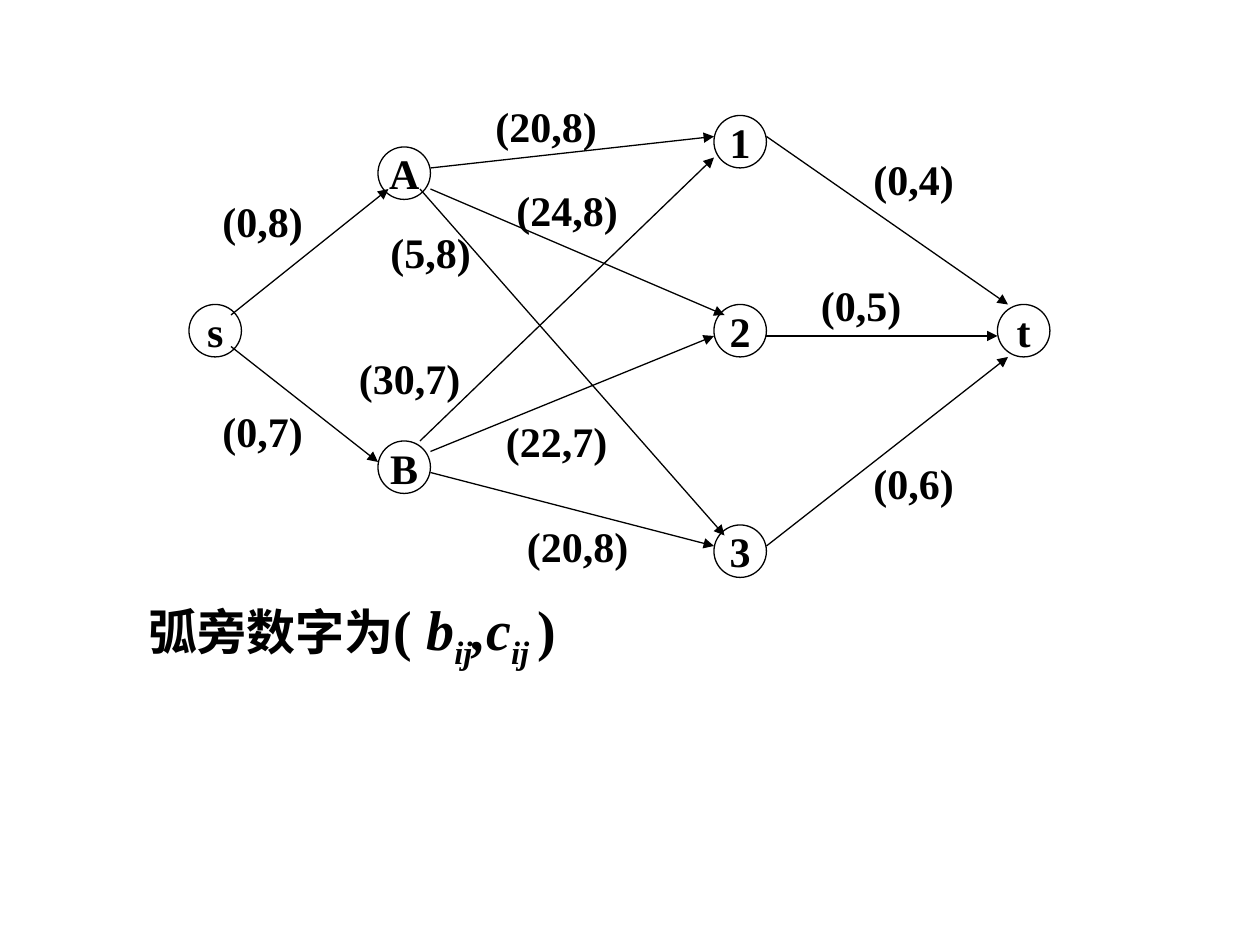
from dataclasses import dataclass

from lxml.etree import SubElement
from pptx import Presentation
from pptx.dml.color import RGBColor
from pptx.enum.shapes import MSO_CONNECTOR, MSO_SHAPE
from pptx.enum.text import MSO_ANCHOR, MSO_AUTO_SIZE, PP_ALIGN
from pptx.oxml.ns import qn
from pptx.slide import Slide
from pptx.util import Emu, Pt

EMU_PER_PX = 9525  # 96 px to the inch


def px(length):
    return Emu(length * EMU_PER_PX)


def color(value):
    return RGBColor.from_string(value)


@dataclass
class Diagram:
    slide: Slide
    font: str = "Times New Roman"
    ink: str = "000000"
    text_size: int = 24
    line_width: float = 0.75
    node_size: int = 40

    def style(self, span, size, italic=False, baseline=0):
        """Format a run; baseline is a percentage, negative for subscript."""
        span.font.name = self.font
        span.font.size = Pt(size)
        span.font.bold = True
        span.font.color.rgb = color(self.ink)
        if italic:
            span.font.italic = True
        if baseline:
            span.font._element.set("baseline", str(baseline * 1000))

    def outline(self, line):
        line.color.rgb = color(self.ink)
        line.width = Pt(self.line_width)

    def node(self, name, left, top):
        size = px(self.node_size)
        shape = self.slide.shapes.add_shape(
            MSO_SHAPE.OVAL, px(left), px(top), size, size)
        shape.shadow.inherit = False
        shape.fill.background()
        self.outline(shape.line)
        frame = shape.text_frame
        frame.word_wrap = False
        frame.vertical_anchor = MSO_ANCHOR.MIDDLE
        frame.text = name
        para = frame.paragraphs[0]
        para.alignment = PP_ALIGN.CENTER
        self.style(para.runs[0], self.text_size)

    def arrow(self, start, end):
        connector = self.slide.shapes.add_connector(
            MSO_CONNECTOR.STRAIGHT, *map(px, start + end))
        self.outline(connector.line)
        SubElement(connector.line._get_or_add_ln(), qn("a:tailEnd"), type="triangle")
        SubElement(connector._element.spPr, qn("a:effectLst"))

    def text_box(self, left, top, width, height):
        """Add an empty wrapping box and return its first paragraph."""
        box = self.slide.shapes.add_textbox(px(left), px(top), px(width), px(height))
        box.text_frame.word_wrap = True
        box.text_frame.auto_size = MSO_AUTO_SIZE.SHAPE_TO_FIT_TEXT
        return box.text_frame.paragraphs[0]

    def label(self, text, left, top):
        para = self.text_box(left, top, 104, 48)
        para.text = text
        self.style(para.runs[0], self.text_size)

    def legend(self, pieces, left, top, width, height):
        para = self.text_box(left, top, width, height)
        for text, size, italic, baseline in pieces:
            span = para.add_run()
            span.text = text
            self.style(span, size, italic, baseline)


NODES = [
    ("s", 144, 232), ("B", 288, 336), ("A", 288, 112), ("3", 544, 400),
    ("2", 544, 232), ("1", 544, 88), ("t", 760, 232),
]

# Arrow start, arrow end, label, label position
ARCS = [
    ((176, 240), (296, 144), "(0,8)", (160, 144)),
    ((176, 264), (288, 352), "(0,7)", (160, 304)),
    ((328, 128), (544, 104), "(20,8)", (368, 72)),
    ((328, 144), (552, 240), "(24,8)", (384, 136)),
    ((320, 144), (552, 408), "(5,8)", (288, 168)),
    ((320, 336), (544, 120), "(30,7)", (264, 264)),
    ((328, 344), (544, 256), "(22,7)", (376, 312)),
    ((328, 360), (544, 416), "(20,8)", (392, 392)),
    ((584, 256), (760, 256), "(0,5)", (616, 208)),
    ((584, 416), (768, 272), "(0,6)", (656, 344)),
    ((584, 104), (768, 232), "(0,4)", (656, 112)),
]

# Text, size, italic, baseline
LEGEND = [
    ("弧旁数字为", 28, False, 0),
    ("( ", 32, False, 0),
    ("b", 32, True, 0),
    ("ij", 32, True, -25),
    (",c", 32, True, 0),
    ("ij ", 32, True, -25),
    (")", 32, False, 0),
]


def main():
    deck = Presentation()
    deck.slide_width, deck.slide_height = px(960), px(720)
    diagram = Diagram(deck.slides.add_slide(deck.slide_layouts[6]))
    for name, left, top in NODES:
        diagram.node(name, left, top)
    for start, end, _, _ in ARCS:
        diagram.arrow(start, end)
    for _, _, text, position in ARCS:
        diagram.label(text, *position)
    diagram.legend(LEGEND, 104, 448, 416, 68)
    deck.save("out.pptx")


if __name__ == "__main__":
    main()
